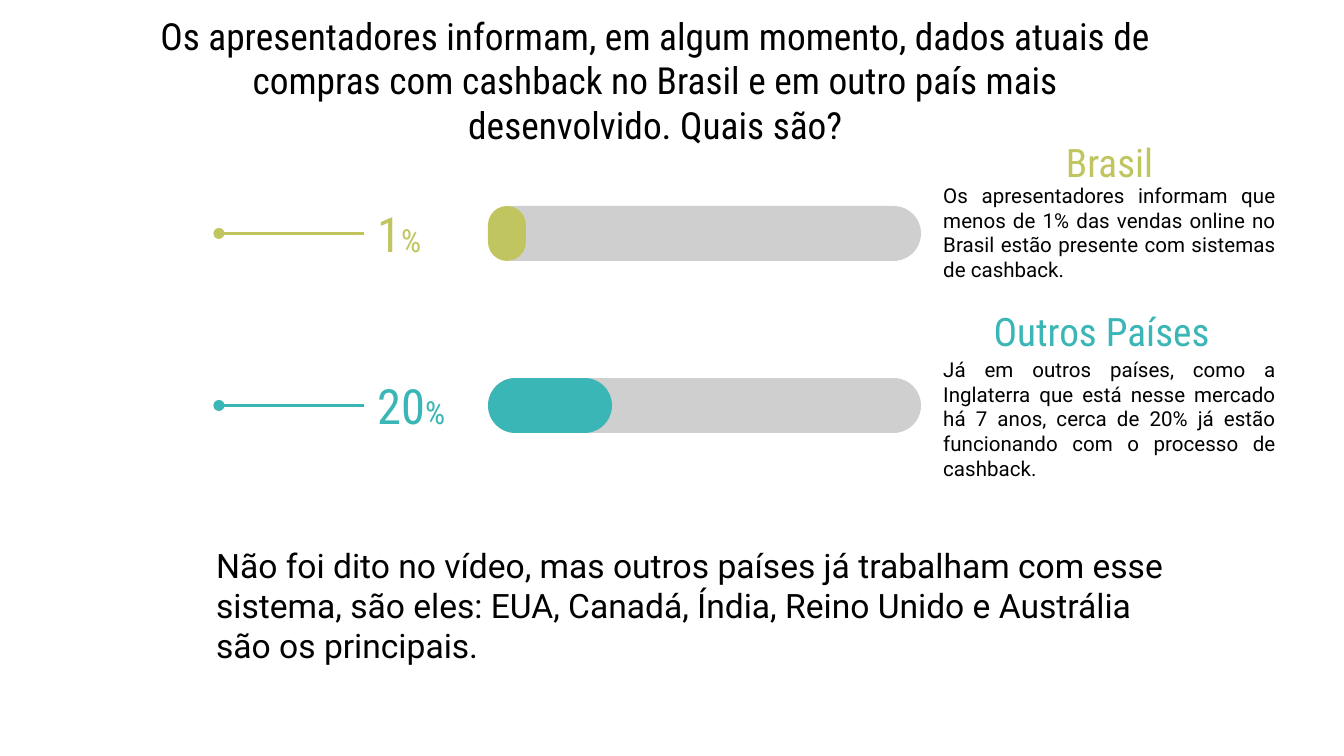
from lxml.etree import SubElement
from pptx import Presentation
from pptx.dml.color import RGBColor
from pptx.enum.shapes import MSO_CONNECTOR, MSO_SHAPE
from pptx.enum.text import MSO_ANCHOR as Anchor, MSO_AUTO_SIZE, PP_ALIGN as Align
from pptx.oxml.ns import qn
from pptx.util import Pt

# Content
BLACK, TRACK = "000000", "CFCFCF"
TITLE = ("Os apresentadores informam, em algum momento, dados atuais de compras "
         "com cashback no Brasil e em outro país mais desenvolvido. Quais são?")
FOOTER = ("Não foi dito no vídeo, mas outros países já trabalham com esse sistema, "
          "são eles: EUA, Canadá, Índia, Reino Unido e Austrália são os principais.")
COUNTRIES = [
    {"name": "Brasil", "value": "1", "color": "C0C55F", "bar": 38,
     "name_box": (949, 144, 321, 35), "detail_box": (930, 187, 359, 91),
     "detail": "Os apresentadores informam que menos de 1% das vendas online no "
               "Brasil estão presente com sistemas de cashback."},
    {"name": "Outros Países", "value": "20", "color": "39B6B5", "bar": 124,
     "name_box": (941, 294, 321, 73), "detail_box": (930, 358, 359, 121),
     "detail": "Já em outros países, como a Inglaterra que está nesse mercado há "
               "7 anos, cerca de 20% já estão funcionando com o processo de cashback."},
]

# Layout in px
TITLE_BOX = (144, 26, 1023, 108)
FOOTER_BOX = (203, 531, 995, 108)
ROW_TOP, ROW_STEP = 206, 172
BAR_LEFT, BAR_WIDTH, BAR_HEIGHT = 488, 433, 55
VALUE_LEFT, VALUE_WIDTH, VALUE_HEIGHT = 364, 124, 73
LINE_LEFT = 219
EMU_PER_PX = 914400 / 134.4
CONDENSED, REGULAR = "Roboto Condensed", "Roboto"


def px(*lengths):
    return [round(length * EMU_PER_PX) for length in lengths]


def rgb(color):
    return RGBColor.from_string(color)


def write(shape, runs, font, color, align=Align.LEFT, anchor=Anchor.MIDDLE):
    frame = shape.text_frame
    frame.word_wrap = True
    frame.auto_size = MSO_AUTO_SIZE.NONE
    frame.vertical_anchor = anchor
    inset = Pt(7.2)
    frame.margin_left = frame.margin_right = inset
    frame.margin_top = frame.margin_bottom = inset
    paragraph = frame.paragraphs[0]
    paragraph.alignment = align
    for text, size in runs:
        run = paragraph.add_run()
        run.text = text
        run.font.name = font
        run.font.size = Pt(size)
        run.font.color.rgb = rgb(color)


def add_bar(group, top, width, color):
    bar = group.shapes.add_shape(MSO_SHAPE.ROUNDED_RECTANGLE,
                                 *px(BAR_LEFT, top, width, BAR_HEIGHT))
    bar.adjustments[0] = 0.5
    bar.shadow.inherit = False
    bar.fill.solid()
    bar.fill.fore_color.rgb = rgb(color)
    bar.line.fill.background()


def add_pointer(group, y, color):
    pointer = group.shapes.add_connector(MSO_CONNECTOR.STRAIGHT,
                                         *px(VALUE_LEFT, y, LINE_LEFT, y))
    pointer.line.color.rgb = rgb(color)
    pointer.line.width = Pt(1.5)
    SubElement(pointer.line._get_or_add_ln(), qn("a:tailEnd"), type="oval")
    SubElement(pointer._element.spPr, qn("a:effectLst"))


presentation = Presentation()
presentation.slide_width, presentation.slide_height = px(1344, 756)
slide = presentation.slides.add_slide(presentation.slide_layouts[5])
shapes = slide.shapes

# Title
title = shapes.title
title.left, title.top, title.width, title.height = px(*TITLE_BOX)
write(title, [(TITLE, 20)], CONDENSED, BLACK, Align.CENTER)

# One row per country: texts, bar, value and pointer
for index, country in enumerate(COUNTRIES):
    color = country["color"]
    top = ROW_TOP + index * ROW_STEP
    middle = top + BAR_HEIGHT / 2
    write(shapes.add_textbox(*px(*country["detail_box"])),
          [(country["detail"], 11)], REGULAR, BLACK, Align.JUSTIFY)
    write(shapes.add_textbox(*px(*country["name_box"])),
          [(country["name"], 21)], CONDENSED, color, Align.CENTER)

    group = shapes.add_group_shape()
    add_bar(group, top, BAR_WIDTH, TRACK)
    add_bar(group, top, country["bar"], color)
    value = group.shapes.add_textbox(
        *px(VALUE_LEFT, middle - VALUE_HEIGHT / 2, VALUE_WIDTH, VALUE_HEIGHT))
    write(value, [(country["value"], 26), ("%", 17)], CONDENSED, color)
    add_pointer(group, middle, color)

# Closing remark
write(shapes.add_textbox(*px(*FOOTER_BOX)), [(FOOTER, 18)], REGULAR, BLACK,
      anchor=Anchor.TOP)

presentation.save("out.pptx")
